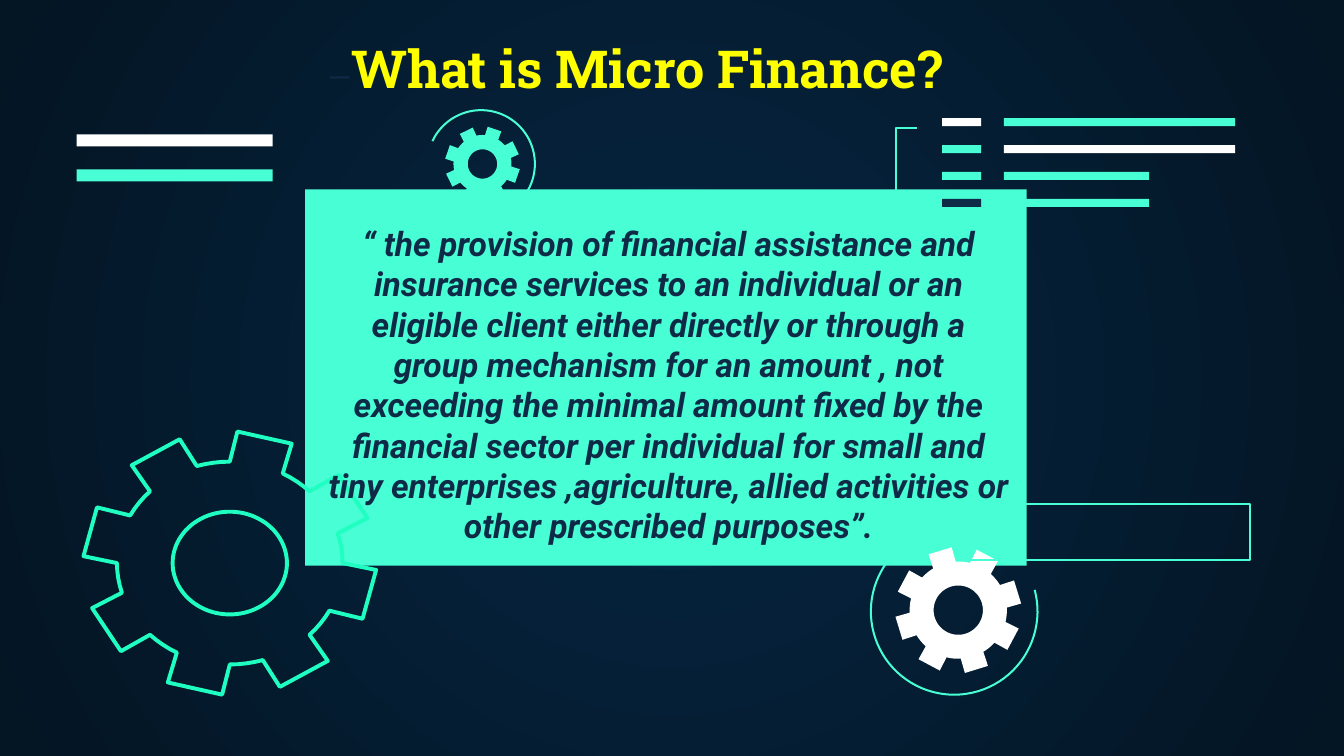
from math import cos, radians, sin

from lxml.etree import SubElement
from pptx import Presentation
from pptx.dml.color import RGBColor
from pptx.enum.shapes import MSO_SHAPE as SHAPE
from pptx.enum.text import MSO_ANCHOR as ANCHOR, MSO_AUTO_SIZE as AUTO_SIZE, PP_ALIGN as ALIGN
from pptx.oxml.ns import qn
from pptx.util import Inches, Pt

MINT = RGBColor(0x48, 0xFF, 0xD5)
BRIGHT_MINT = RGBColor(0x1E, 0xFF, 0xC1)
WHITE = RGBColor(0xFF, 0xFF, 0xFF)
NAVY = RGBColor(0x0E, 0x2A, 0x47)
YELLOW = RGBColor(0xFF, 0xFF, 0x00)
GLOW = RGBColor(0x05, 0x26, 0x43)
EDGE = RGBColor(0x04, 0x15, 0x23)


def arc(cx, cy, rx, ry, start, end, step=4):
    """Points in inches along an ellipse, clockwise, angles in degrees."""
    count = max(1, round((end - start) / step))
    angles = [radians(start + (end - start) * i / count) for i in range(count + 1)]
    return [(cx + rx * cos(a), cy + ry * sin(a)) for a in angles]


def draw(contours, fill=None, line=None, width=1.09, close=True):
    """Draw one freeform from lists of points in inches."""
    contours = [[(Inches(x), Inches(y)) for x, y in points] for points in contours]
    builder = page.shapes.build_freeform(*contours[0][0])
    builder.add_line_segments(contours[0][1:], close=close)
    for points in contours[1:]:
        builder.move_to(*points[0])
        builder.add_line_segments(points[1:], close=close)
    shape = builder.convert_to_shape()
    shape.shadow.inherit = False
    if fill is None:
        shape.fill.background()
    else:
        shape.fill.solid()
        shape.fill.fore_color.rgb = fill
    if line is None:
        shape.line.fill.background()
    else:
        shape.line.color.rgb = line
        shape.line.width = Pt(width)


# Widescreen page, 16 to 9
deck = Presentation()
deck.slide_width = Inches(10)
deck.slide_height = Inches(10) * 9 // 16
page = deck.slides.add_slide(deck.slide_layouts[0])
title, body = page.placeholders

# Radial background
backdrop = page.background.fill
backdrop.gradient()
for position, (stop, color) in enumerate(zip(backdrop.gradient_stops, (GLOW, EDGE))):
    stop.color.rgb = color
    stop.position = position
gradient = page.element.find(".//" + qn("a:gradFill"))
gradient.remove(gradient.find(qn("a:lin")))
radial = SubElement(gradient, qn("a:path"), path="circle")
SubElement(radial, qn("a:fillToRect"), l="50000", t="50000", r="50000", b="50000")

# Quote panel and bars: left, top, width, height, colour
blocks = [(2.27, 1.41, 5.37, 2.8, MINT),
          (0.57, 1, 1.46, 0.09, WHITE),
          (0.57, 1.26, 1.46, 0.09, MINT)]
rows = [(WHITE, 1.72, MINT), (MINT, 1.72, WHITE), (MINT, 1.08, MINT), (NAVY, 1.08, MINT)]
for row, (short_color, long_width, long_color) in enumerate(rows):
    top = 0.88 + row * 0.2
    blocks.append((7.01, top, 0.29, 0.06, short_color))
    blocks.append((7.47, top, long_width, 0.06, long_color))
for left, top, width, height, color in blocks:
    block = page.shapes.add_shape(SHAPE.RECTANGLE, Inches(left), Inches(top),
                                  Inches(width), Inches(height))
    block.shadow.inherit = False
    block.fill.solid()
    block.fill.fore_color.rgb = color
    block.line.fill.background()

# Open rings around the small gears
draw([arc(3.58, 1.22, 0.4, 0.4, -155, 97)], line=MINT, close=False)
draw([arc(7.1, 4.55, 0.62, 0.62, -15, 233)], line=MINT, close=False)

# Gears: centre, outer radii, angle of the first tooth, fill, line
gears = [(1.71, 4.19, 1.09, 0.98, -76, None, BRIGHT_MINT),
         (7.13, 4.54, 0.47, 0.47, -107, WHITE, None),
         (3.59, 1.22, 0.28, 0.28, -71, MINT, None)]
for cx, cy, rx, ry, first, fill, line in gears:
    rim = []
    for tooth in range(8):
        angle = first + tooth * 45
        rim += arc(cx, cy, rx, ry, angle - 11, angle + 11, step=22)
        rim += arc(cx, cy, rx * 0.77, ry * 0.77, angle + 14, angle + 31)
    hole = arc(cx, cy, rx * 0.39, ry * 0.39, 0, 360)
    draw([rim, hole], fill, line, width=2.1)

# Bracket and outlined bar
draw([[(6.83, 1.56), (6.67, 1.56), (6.67, 0.95), (6.82, 0.95)]], line=MINT, close=False)
draw([[(7.19, 3.75), (9.3, 3.75), (9.3, 4.17), (7.19, 4.17)]], line=MINT)

# Title and quote: box, anchor, bottom inset, runs
quote = ("“ the provision of financial assistance and insurance services to an individual "
         "or an eligible client either directly or through a group mechanism for an amount , "
         "not exceeding the minimal amount fixed by the financial sector per individual for "
         "small and tiny enterprises ,agriculture, allied activities or other prescribed "
         "purposes”.")
texts = [
    (title, (1.64, 0.55, 6.17, 0.56), ANCHOR.BOTTOM, 0.37,
     [("—", 16, "Roboto", NAVY, False, False),
      ("What is Micro Finance?", 28, "Roboto Slab", YELLOW, True, False)]),
    (body, (2.34, 1.56, 5.27, 2.33), ANCHOR.TOP, 0.1,
     [(quote, 18, "Roboto", NAVY, True, True)]),
]
for box, place, anchor, bottom, runs in texts:
    box.left, box.top, box.width, box.height = map(Inches, place)
    frame = box.text_frame
    frame.word_wrap = True
    frame.auto_size = AUTO_SIZE.NONE
    frame.vertical_anchor = anchor
    frame.margin_left = frame.margin_right = frame.margin_top = Inches(0.1)
    frame.margin_bottom = Inches(bottom)
    para = frame.paragraphs[0]
    para.alignment = ALIGN.CENTER
    para.space_before = Pt(0)
    for text, size, font, color, bold, italic in runs:
        span = para.add_run()
        span.text = text
        span.font.size = Pt(size)
        span.font.name = font
        span.font.color.rgb = color
        span.font.bold = bold
        span.font.italic = italic
    # Bring the text in front of the shapes
    page.shapes._spTree.append(box.element)

deck.save("out.pptx")
